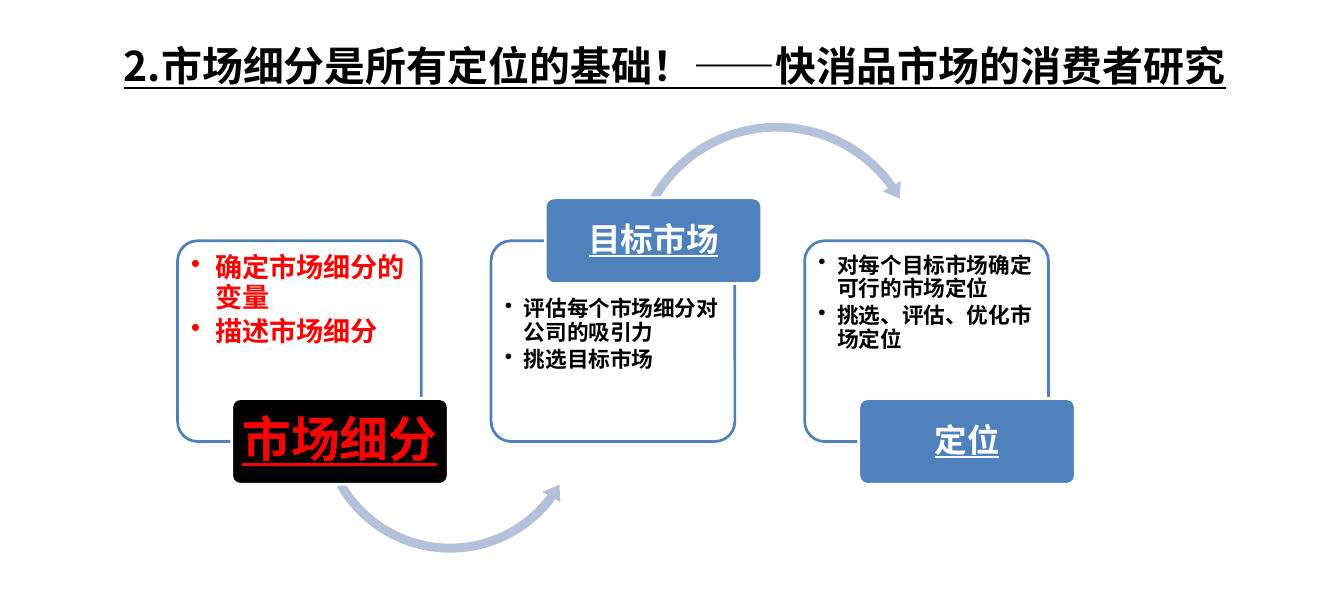
from dataclasses import dataclass

from lxml import etree
from pptx import Presentation
from pptx import util as u
from pptx.dml.color import RGBColor
from pptx.enum import shapes, text
from pptx.oxml import ns


@dataclass(frozen=True)
class Theme:
    font: str = "Noto Sans CJK SC"
    black: str = "000000"
    white: str = "FFFFFF"
    red: str = "FF0000"
    blue: str = "4F81BD"
    pale: str = "B3C1DB"
    title: float = 30.2
    focus_badge: int = 36
    badge: int = 24
    focus_body: int = 20
    body: int = 16


THEME = Theme()
SLIDE_WIDTH, SLIDE_HEIGHT = u.Inches(13.78), u.Inches(6.3)

FIRST_LEFT, STEP_PITCH = 13.21, 23.33
CARD_TOP, CARD_WIDTH, CARD_HEIGHT = 39.21, 18.14, 32.7
BODY_HEIGHT, RAISED_BODY_TOP = 25.71, 46.35
BADGE_SHIFT, BADGE_WIDTH, BADGE_HEIGHT = 4.03, 16.11, 13.97
LOW_BADGE_TOP, HIGH_BADGE_TOP = 64.92, 32.22

STEPS = [
    ("市场细分", ["确定市场细分的变量", "描述市场细分"]),
    ("目标市场", ["评估每个市场细分对公司的吸引力", "挑选目标市场"]),
    ("定位", ["对每个目标市场确定可行的市场定位", "挑选、评估、优化市场定位"]),
]
ARROWS = [
    (shapes.MSO_SHAPE.LEFT_CIRCULAR_ARROW, (23.37, 46.67, 20.25, 44.29),
     (0.033, 4.049, 21.804, 90.245, 0.038)),
    (shapes.MSO_SHAPE.CIRCULAR_ARROW, (46.52, 19.05, 22.57, 49.37),
     (0.029, 3.604, 194.64, 125.755, 0.034)),
]


def place(area):
    left, top, width, height = area
    return [u.Emu(round(share * side / 100)) for share, side in
            ((left, SLIDE_WIDTH), (top, SLIDE_HEIGHT),
             (width, SLIDE_WIDTH), (height, SLIDE_HEIGHT))]


def add_span(para, words, size, color, underline=False):
    span = para.add_run()
    span.text = words
    font = span.font
    font.name, font.size, font.bold = THEME.font, u.Pt(size), True
    font.underline = underline
    font.color.rgb = RGBColor.from_string(color)
    east_asian = etree.SubElement(font._element, ns.qn("a:ea"))
    east_asian.set("typeface", THEME.font)


def add_figure(page, kind, area, adjustments, fill, line=None):
    figure = page.shapes.add_shape(kind, *place(area))
    figure.shadow.inherit = False
    for index, value in enumerate(adjustments):
        figure.adjustments[index] = value
    figure.fill.solid()
    figure.fill.fore_color.rgb = RGBColor.from_string(fill)
    if line:
        figure.line.color.rgb = RGBColor.from_string(line)
        figure.line.width = u.Pt(2)
    else:
        figure.line.fill.background()
    return figure


def set_margins(frame, margin):
    frame.margin_left = frame.margin_right = u.Inches(margin)
    frame.margin_top = frame.margin_bottom = u.Inches(margin)


def add_title(page, words):
    box = page.shapes.add_textbox(*place((8.49, 5.87, 87.37, 9.68)))
    frame = box.text_frame
    frame.word_wrap = True
    frame.auto_size = text.MSO_AUTO_SIZE.SHAPE_TO_FIT_TEXT
    add_span(frame.paragraphs[0], words, THEME.title, THEME.black, True)


def add_card(page, left):
    card = add_figure(page, shapes.MSO_SHAPE.ROUNDED_RECTANGLE,
                      (left, CARD_TOP, CARD_WIDTH, CARD_HEIGHT),
                      [0.1], THEME.white, THEME.blue)
    tint = card.fill._xPr.find(".//" + ns.qn("a:srgbClr"))
    etree.SubElement(tint, ns.qn("a:alpha")).set("val", "90000")


def add_bullets(page, left, top, items, size, color):
    box = page.shapes.add_textbox(*place((left, top, CARD_WIDTH, BODY_HEIGHT)))
    frame = box.text_frame
    frame.word_wrap = True
    set_margins(frame, 0.14)
    indent = u.Pt(size * 0.88)
    for index, item in enumerate(items):
        para = frame.add_paragraph() if index else frame.paragraphs[0]
        settings = para._p.get_or_add_pPr()
        settings.set("marL", str(indent))
        settings.set("indent", str(-indent))
        etree.SubElement(settings, ns.qn("a:buChar")).set("char", "•")
        para.line_spacing = 0.9
        para.space_after = u.Pt(size * 0.18)
        add_span(para, item, size, color)


def add_badge(page, left, top, words, size, color, fill):
    badge = add_figure(page, shapes.MSO_SHAPE.ROUNDED_RECTANGLE,
                       (left + BADGE_SHIFT, top, BADGE_WIDTH, BADGE_HEIGHT),
                       [0.1], fill, THEME.white)
    frame = badge.text_frame
    frame.word_wrap = True
    frame.vertical_anchor = text.MSO_ANCHOR.MIDDLE
    set_margins(frame, 0)
    para = frame.paragraphs[0]
    para.alignment = text.PP_ALIGN.CENTER
    para.line_spacing = 0.9
    add_span(para, words, size, color, True)


def add_step(page, index, name, items):
    focus, raised = index == 0, index == 1
    left = FIRST_LEFT + index * STEP_PITCH
    add_card(page, left)
    add_bullets(page, left, RAISED_BODY_TOP if raised else CARD_TOP, items,
                THEME.focus_body if focus else THEME.body,
                THEME.red if focus else THEME.black)
    if index < len(ARROWS):
        kind, area, adjustments = ARROWS[index]
        add_figure(page, kind, area, adjustments, THEME.pale)
    add_badge(page, left, HIGH_BADGE_TOP if raised else LOW_BADGE_TOP, name,
              THEME.focus_badge if focus else THEME.badge,
              THEME.red if focus else THEME.white,
              THEME.black if focus else THEME.blue)


def main():
    deck = Presentation()
    deck.slide_width, deck.slide_height = SLIDE_WIDTH, SLIDE_HEIGHT
    page = deck.slides.add_slide(deck.slide_layouts[6])
    add_title(page, "2.市场细分是所有定位的基础！——快消品市场的消费者研究")
    for index, (name, items) in enumerate(STEPS):
        add_step(page, index, name, items)
    deck.save("out.pptx")


if __name__ == "__main__":
    main()
